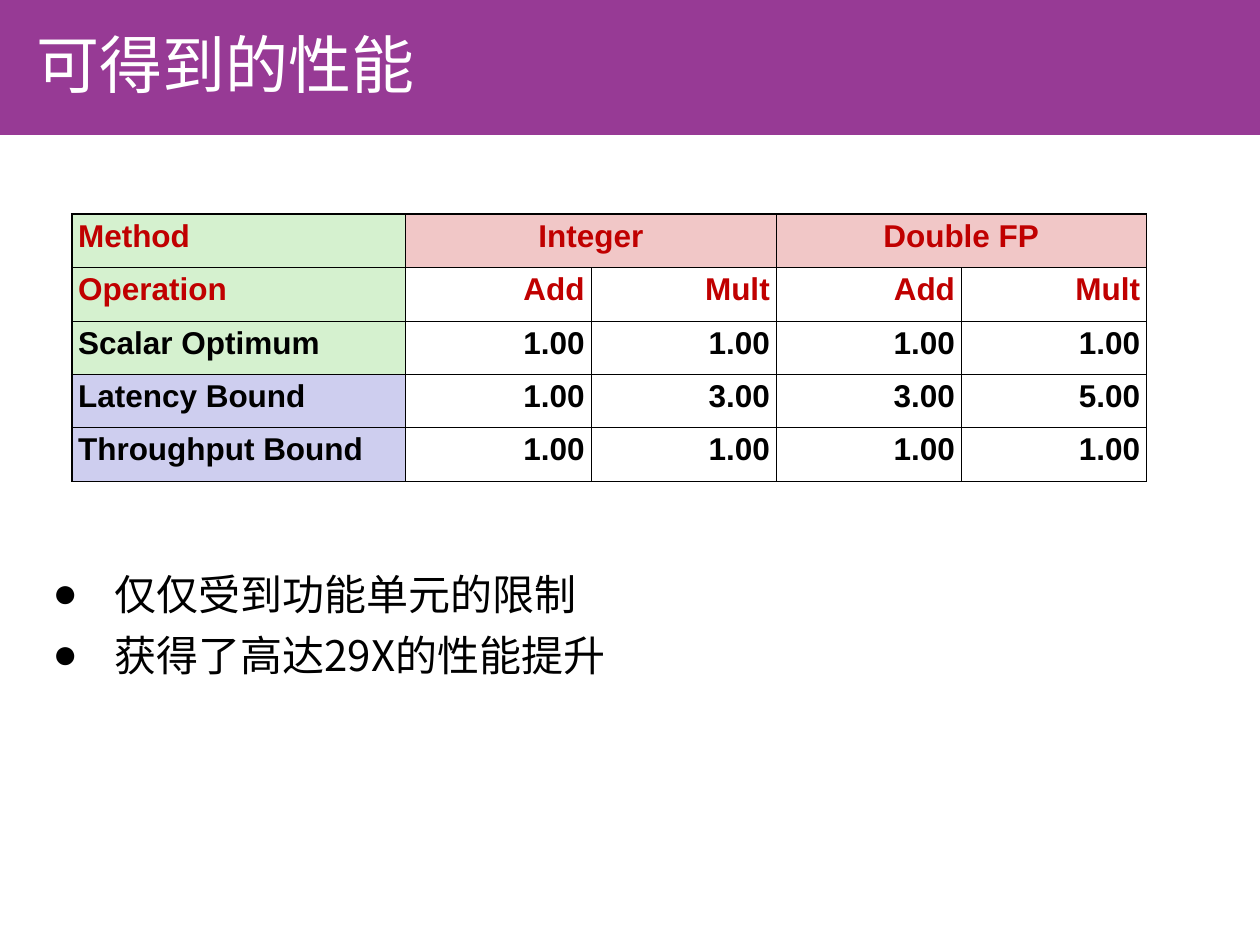
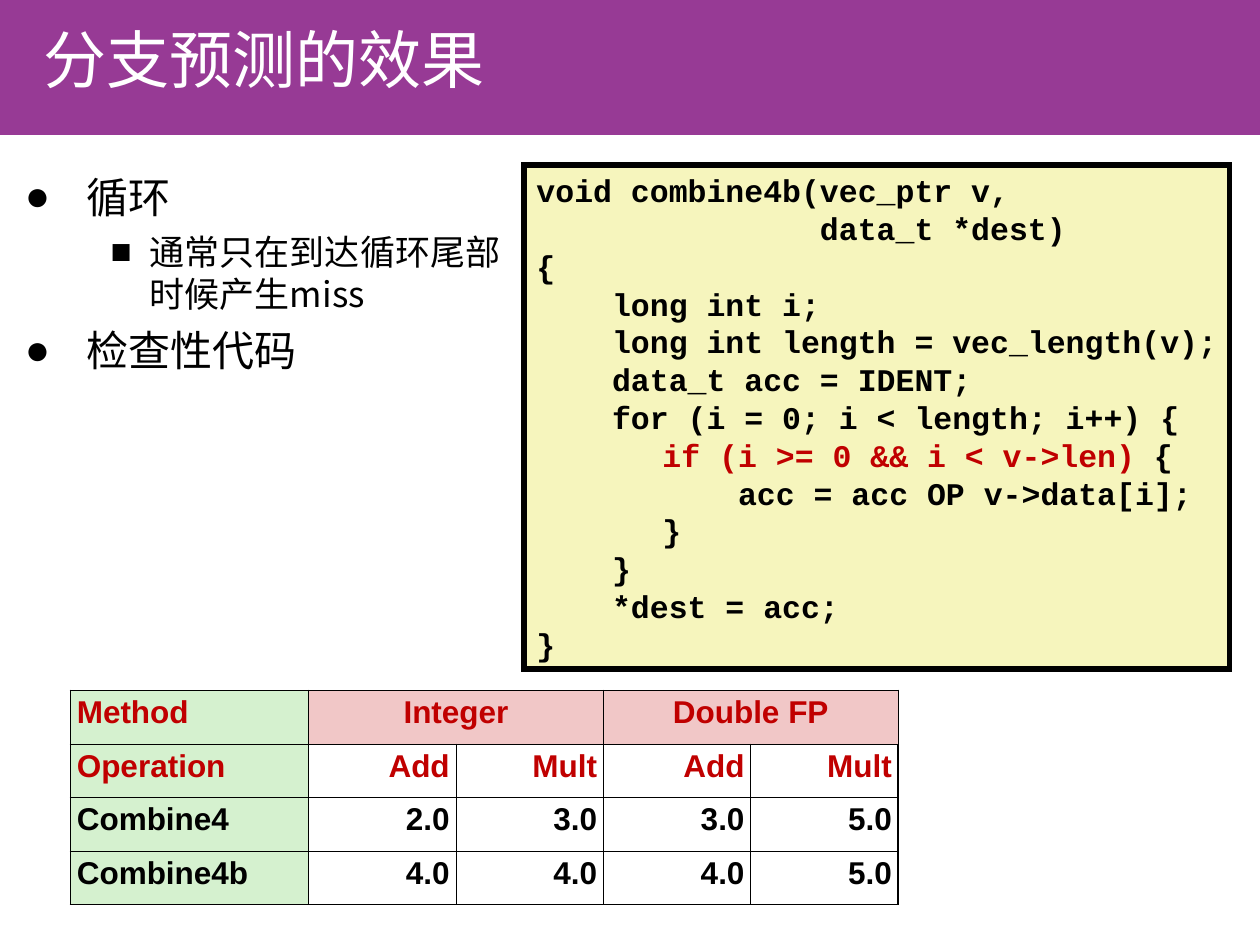
"""Build two slides on achievable performance and the effect of branch prediction."""
from lxml import etree
from pptx import Presentation
from pptx.dml.color import RGBColor
from pptx.enum.shapes import MSO_SHAPE
from pptx.enum.text import MSO_ANCHOR, PP_ALIGN
from pptx.oxml.ns import qn
from pptx.util import Inches, Pt

RECTANGLE = MSO_SHAPE.RECTANGLE
TOP, MIDDLE = MSO_ANCHOR.TOP, MSO_ANCHOR.MIDDLE
LEFT, CENTER, RIGHT = PP_ALIGN.LEFT, PP_ALIGN.CENTER, PP_ALIGN.RIGHT

PURPLE = RGBColor(0x97, 0x3A, 0x95)
WHITE = RGBColor(0xFF, 0xFF, 0xFF)
BLACK = RGBColor(0x00, 0x00, 0x00)
RED = RGBColor(0xC0, 0x00, 0x00)
GREEN = RGBColor(0xD5, 0xF1, 0xCF)
PINK = RGBColor(0xF1, 0xC7, 0xC7)
LILAC = RGBColor(0xCE, 0xCE, 0xEF)
CREAM = RGBColor(0xF6, 0xF5, 0xBD)

CJK, SANS, MONO = "Noto Sans CJK SC", "Arial", "Courier New"
THIN, THICK = 0.45, 1.08

BULLET_LEVELS = [
    {"mark": "●", "margin": 0.49, "hang": 0.49, "size": 24, "before": 6},
    {"mark": "■", "margin": 0.99, "hang": 0.31, "size": 20, "before": 5},
]

HEADER = [
    ["Method", "Integer", "", "Double FP", ""],
    ["Operation", "Add", "Mult", "Add", "Mult"],
]
BOUND_ROWS = [
    (GREEN, ["Scalar Optimum", "1.00", "1.00", "1.00", "1.00"]),
    (LILAC, ["Latency Bound", "1.00", "3.00", "3.00", "5.00"]),
    (LILAC, ["Throughput Bound", "1.00", "1.00", "1.00", "1.00"]),
]
COMBINE_ROWS = [
    (GREEN, ["Combine4", "2.0", "3.0", "3.0", "5.0"]),
    (GREEN, ["Combine4b", "4.0", "4.0", "4.0", "5.0"]),
]

LIMIT_POINTS = [(0, "仅仅受到功能单元的限制"), (0, "获得了高达29X的性能提升")]
BRANCH_POINTS = [
    (0, "循环"),
    (1, "通常只在到达循环尾部时候产生miss"),
    (0, "检查性代码"),
]

CHECK = "if (i >= 0 && i < v->len) "
CODE = [
    "void combine4b(vec_ptr v,",
    "               data_t *dest)",
    "{",
    "    long int i;",
    "    long int length = vec_length(v);",
    "    data_t acc = IDENT;",
    "    for (i = 0; i < length; i++) {",
    "\t" + CHECK + "{",
    "\t    acc = acc OP v->data[i];",
    "\t}",
    "    }",
    "    *dest = acc;",
    "}",
]


def add_text(para, text, font=CJK, size=18, color=BLACK, bold=False,
             align=LEFT, spacing=None, before=None):
    para.alignment = align
    if spacing is not None:
        para.line_spacing = spacing
    if before is not None:
        para.space_before = Pt(before)
    span = para.add_run()
    span.text = text
    span.font.name = font
    span.font.size = Pt(size)
    span.font.bold = bold
    span.font.color.rgb = color
    east_asian = etree.SubElement(span.font._element, qn("a:ea"))
    east_asian.set("typeface", font)


def paragraphs(frame, count):
    return [frame.paragraphs[0]] + [frame.add_paragraph() for _ in range(count - 1)]


def add_box(page, left, top, width, height, anchor=TOP):
    box = page.shapes.add_textbox(Inches(left), Inches(top), Inches(width), Inches(height))
    box.text_frame.word_wrap = True
    box.text_frame.vertical_anchor = anchor
    return box.text_frame


def add_panel(page, left, top, width, height, fill):
    panel = page.shapes.add_shape(
        RECTANGLE, Inches(left), Inches(top), Inches(width), Inches(height))
    panel.shadow.inherit = False
    panel.fill.solid()
    panel.fill.fore_color.rgb = fill
    panel.line.fill.background()
    return panel


def add_page(deck, title, left, top):
    page = deck.slides.add_slide(deck.slide_layouts[6])
    add_panel(page, 0, -0.01, 10, 1.08, PURPLE)
    frame = add_box(page, left, top, 6.56, 0.75, anchor=MIDDLE)
    add_text(frame.paragraphs[0], title, size=36, color=WHITE)
    return page


def add_bullets(page, points, left, top, width, height):
    frame = add_box(page, left, top, width, height)
    for index, (para, (depth, text)) in enumerate(zip(paragraphs(frame, len(points)), points)):
        level = BULLET_LEVELS[depth]
        para.level = depth
        properties = para._p.get_or_add_pPr()
        properties.set("marL", str(Inches(level["margin"])))
        properties.set("indent", str(-Inches(level["hang"])))
        etree.SubElement(properties, qn("a:buFont")).set("typeface", SANS)
        etree.SubElement(properties, qn("a:buChar")).set("char", level["mark"])
        add_text(para, text, size=level["size"], spacing=1.0,
                 before=level["before"] if index else 0)


def set_borders(cell, widths):
    properties = cell._tc.get_or_add_tcPr()
    for index, (side, width) in enumerate(widths.items()):
        line = etree.Element(qn(f"a:{side}"), w=str(Pt(width)))
        fill = etree.SubElement(line, qn("a:solidFill"))
        etree.SubElement(fill, qn("a:srgbClr")).set("val", str(BLACK))
        properties.insert(index, line)


def add_results(page, body, left, top, width, height, label_width):
    rows = HEADER + [values for _, values in body]
    label_fills = [GREEN] * len(HEADER) + [fill for fill, _ in body]
    last_column = len(rows[0]) - 1
    table = page.shapes.add_table(
        len(rows), len(rows[0]), Inches(left), Inches(top), Inches(width), Inches(height)).table
    table.first_row = table.horz_banding = False
    for index, column in enumerate(table.columns):
        column.width = Inches((width - label_width) / last_column if index else label_width)
    for row in table.rows:
        row.height = Inches(height / len(rows))
    for first in (1, 3):
        table.cell(0, first).merge(table.cell(0, first + 1))

    for r, values in enumerate(rows):
        for c, value in enumerate(values):
            cell = table.cell(r, c)
            cell.margin_left = cell.margin_right = Inches(0.05)
            cell.margin_top = cell.margin_bottom = Inches(0.05)
            cell.fill.solid()
            cell.fill.fore_color.rgb = label_fills[r] if c == 0 else WHITE if r else PINK
            set_borders(cell, {
                "lnL": THIN if c else THICK,
                "lnR": THICK if c == last_column else THIN,
                "lnT": THIN if r else THICK,
                "lnB": THIN,
            })
            if value:
                add_text(cell.text_frame.paragraphs[0], value, font=SANS, bold=True,
                         color=RED if r < len(HEADER) else BLACK, spacing=0.95,
                         align=LEFT if c == 0 else RIGHT if r else CENTER)


def add_code(page, lines, left, top, width, height):
    panel = add_panel(page, left, top, width, height, CREAM)
    panel.line.color.rgb = BLACK
    panel.line.width = Pt(3)
    etree.SubElement(panel.line._ln, qn("a:miter"), lim="800000")
    frame = panel.text_frame
    frame.word_wrap = False
    frame.vertical_anchor = TOP
    for para, line in zip(paragraphs(frame, len(lines)), lines):
        tabs = etree.SubElement(para._p.get_or_add_pPr(), qn("a:tabLst"))
        etree.SubElement(tabs, qn("a:tab"), pos=str(Inches(1)), algn="l")
        for part in line.partition(CHECK):
            if part:
                add_text(para, part, font=MONO, bold=True, spacing=Pt(21.6),
                         color=RED if part == CHECK else BLACK)


def main():
    deck = Presentation()
    deck.slide_width, deck.slide_height = Inches(10), Inches(7.5)

    performance = add_page(deck, "可得到的性能", 0.19, 0.13)
    add_bullets(performance, LIMIT_POINTS, 0.32, 4.46, 9.09, 2.05)
    add_results(performance, BOUND_ROWS, 0.57, 1.7, 8.53, 2.12, label_width=2.65)

    prediction = add_page(deck, "分支预测的效果", 0.25, 0.09)
    add_bullets(prediction, BRANCH_POINTS, 0.1, 1.31, 4.07, 5.44)
    add_code(prediction, CODE, 4.16, 1.31, 5.6, 4)
    add_results(prediction, COMBINE_ROWS, 0.56, 5.48, 6.57, 1.7, label_width=1.89)

    deck.save("out.pptx")


if __name__ == "__main__":
    main()
